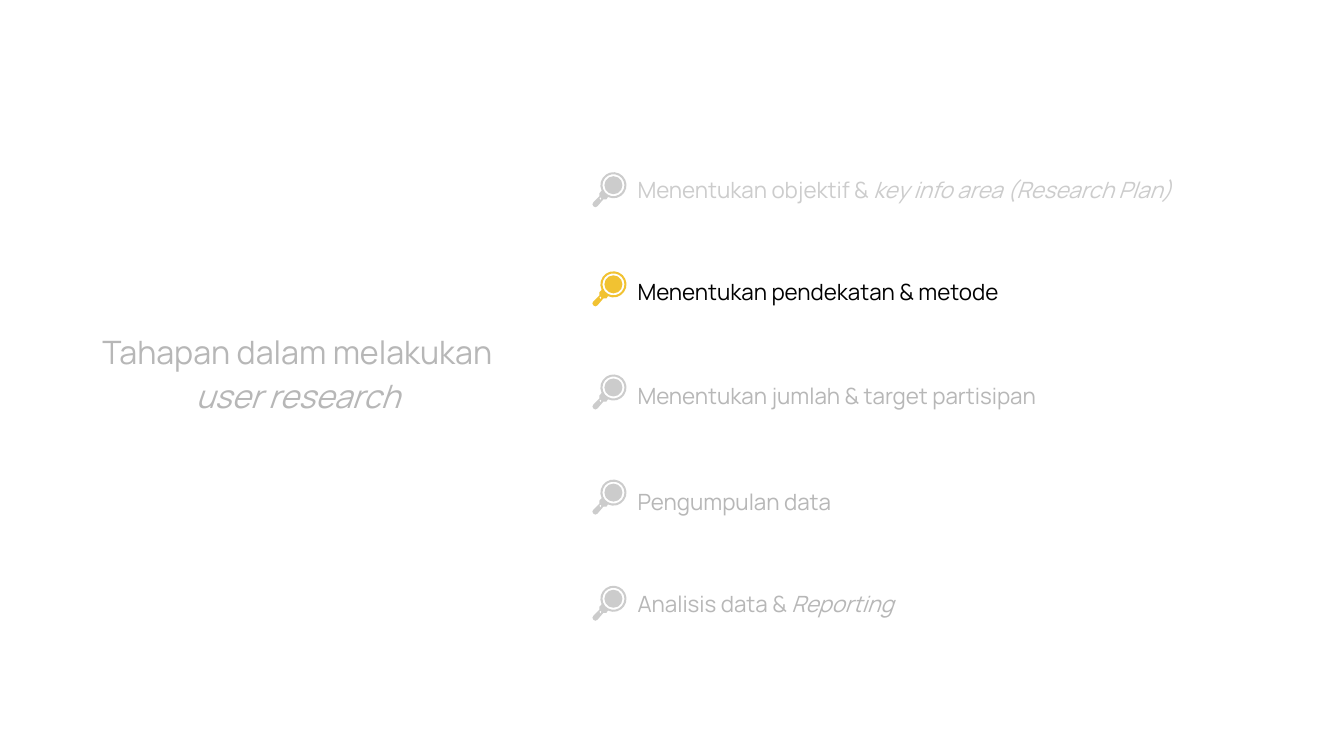
"""Builds the slide on the stages of user research, with stage two lit up."""
from dataclasses import dataclass
from math import cos, radians, sin
from typing import Any

from pptx import Presentation
from pptx.dml.color import RGBColor
from pptx.enum.shapes import MSO_SHAPE as Kind
from pptx.enum.text import MSO_ANCHOR as Anchor, MSO_AUTO_SIZE as Auto, PP_ALIGN as Align
from pptx.oxml.xmlchemy import OxmlElement as Node
from pptx.util import Emu, Pt

SCALE = 9080
FINE = 10
FONT = "Manrope"
GREY = RGBColor(0xB7, 0xB7, 0xB7)
PALE = RGBColor(0xCC, 0xCC, 0xCC)
BLACK = RGBColor(0, 0, 0)
GOLD = RGBColor(0xF1, 0xC2, 0x32)

LINE = 32
ICON_X = 592
HUB = (21, 13)
RIM, HOLE, LENS = 13, 11, 9
STEP = 20
GRIP = [(14, 27), (11, 27), (5, 34), (3, 35), (1, 34),
        (0, 32), (1, 30), (7, 24), (7, 21)]
SLOT = [(8, 25), (9, 26), (8, 28), (7, 26)]

Point = tuple[float, float]


@dataclass(frozen=True)
class Stage:
    """One stage: its text, the pitch from the stage above and its icon."""
    plain: str
    slant: str
    pitch: int
    icon_y: int
    ink: RGBColor = GREY
    tint: RGBColor = PALE


STAGES = [
    Stage("Menentukan objektif & ", "key info area (Research Plan)", LINE, 172, ink=PALE),
    Stage("Menentukan pendekatan & metode", "", 102, 271, ink=BLACK, tint=GOLD),
    Stage("Menentukan jumlah & target partisipan", "", 103, 374),
    Stage("Pengumpulan data", "", 106, 479),
    Stage("Analisis data & ", "Reporting", 102, 585),
]


def px(count: int) -> Emu:
    """Turn px into EMU."""
    return Emu(count * SCALE)


def apply(item: Any, form: dict[str, Any]) -> None:
    """Set each format value on the item."""
    for name, value in form.items():
        setattr(item, name, value)


def place(shape: Any, left: int, top: int, width: int, height: int) -> Any:
    """Move a placeholder and give back its bare text frame."""
    apply(shape, dict(left=px(left), top=px(top), width=px(width), height=px(height)))
    edges = dict.fromkeys(
        ("margin_left", "margin_right", "margin_top", "margin_bottom"), px(7))
    apply(shape.text_frame, edges | dict(
        word_wrap=True, auto_size=Auto.NONE, vertical_anchor=Anchor.TOP))
    return shape.text_frame


def write(para: Any, plain: str, slant: str, size: int, ink: RGBColor) -> None:
    """Add an upright run and, where there is one, a slanted run."""
    for text, italic in ((plain, False), (slant, True)):
        if text:
            run = para.add_run()
            run.text = text
            apply(run.font, dict(name=FONT, size=Pt(size), italic=italic))
            run.font.color.rgb = ink


def add_list(shape: Any) -> None:
    """Write the stages as one list without bullets."""
    frame = place(shape, 630, 164, 560, 458)
    for rank, stage in enumerate(STAGES):
        para = frame.add_paragraph() if rank else frame.paragraphs[0]
        props = para._p.get_or_add_pPr()
        props.append(Node("a:buNone"))
        for key in ("marL", "indent"):
            props.set(key, "0")
        apply(para, dict(alignment=Align.LEFT, line_spacing=px(LINE),
                         space_before=px(stage.pitch - LINE)))
        write(para, stage.plain, stage.slant, 16, stage.ink)


def arc(radius: int, start: int, end: int) -> list[Point]:
    """Give points on a circle about the hub."""
    return [(HUB[0] + radius * cos(radians(turn)), HUB[1] + radius * sin(radians(turn)))
            for turn in range(start, end, STEP)]


def paint(shape: Any, tint: RGBColor) -> None:
    """Fill a shape plainly, with no line or shadow."""
    shape.shadow.inherit = False
    shape.fill.solid()
    shape.fill.fore_color.rgb = tint
    shape.line.fill.background()


def add_icon(slide: Any, top: int, tint: RGBColor) -> None:
    """Draw a magnifying glass as a group of frame and lens."""
    shapes = slide.shapes.add_group_shape().shapes
    loops = [arc(RIM, 155, 480) + GRIP, arc(HOLE, 0, 360)[::-1], SLOT]
    pen = None
    for loop in loops:
        first, *rest = [(round(x * FINE), round(y * FINE)) for x, y in loop]
        if pen is None:
            pen = shapes.build_freeform(*first, scale=SCALE / FINE)
        else:
            pen.move_to(*first)
        pen.add_line_segments(rest, close=True)
    paint(pen.convert_to_shape(px(ICON_X), px(top)), tint)
    lens = shapes.add_shape(Kind.OVAL, px(ICON_X + HUB[0] - LENS),
                            px(top + HUB[1] - LENS), px(2 * LENS), px(2 * LENS))
    paint(lens, tint)


def main() -> None:
    """Build and save the deck."""
    deck = Presentation()
    apply(deck, dict(slide_width=px(1343), slide_height=px(755)))
    slide = deck.slides.add_slide(deck.slide_layouts[1])
    para = place(slide.shapes.title, 88, 319, 419, 102).paragraphs[0]
    apply(para, dict(alignment=Align.CENTER, line_spacing=1.15))
    write(para, "Tahapan dalam melakukan ", "user research", 23, GREY)
    add_list(slide.placeholders[1])
    for stage in STAGES:
        add_icon(slide, stage.icon_y, stage.tint)
    deck.save("out.pptx")


if __name__ == "__main__":
    main()
